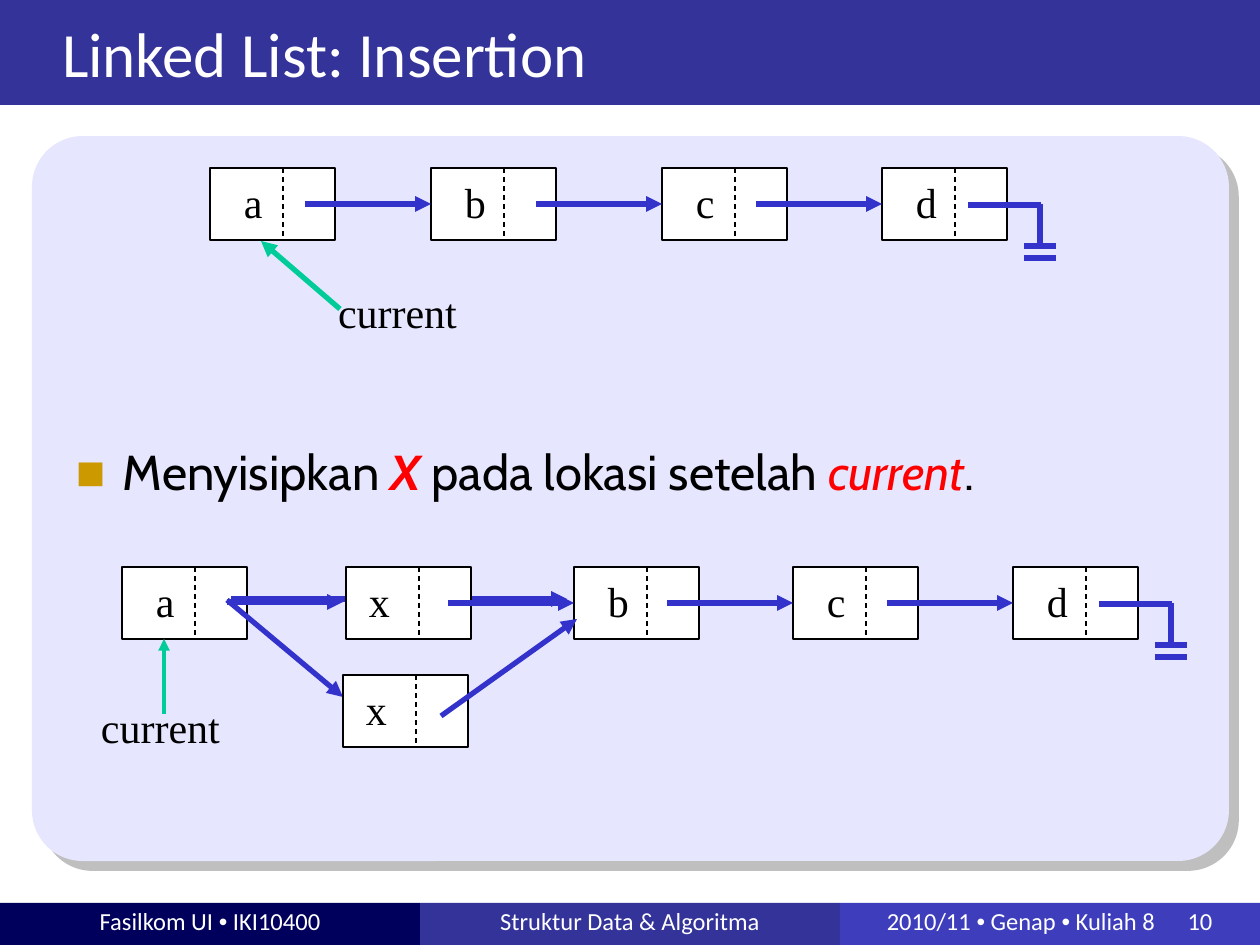
from lxml.etree import SubElement
from pptx import Presentation
from pptx.dml.color import RGBColor
from pptx.enum.dml import MSO_LINE
from pptx.enum.shapes import MSO_CONNECTOR, MSO_SHAPE
from pptx.enum.text import MSO_ANCHOR, PP_ALIGN
from pptx.oxml.ns import qn
from pptx.util import Emu, Pt

PX = 914400 / 126

WHITE = RGBColor(0xFF, 0xFF, 0xFF)
BLACK = RGBColor(0, 0, 0)
RED = RGBColor(0xFF, 0, 0)
NAVY = RGBColor(0x00, 0x00, 0x5C)
INDIGO = RGBColor(0x33, 0x33, 0x99)
VIOLET = RGBColor(0x3E, 0x3E, 0xBC)
LAVENDER = RGBColor(0xE6, 0xE6, 0xFF)
BLUE = RGBColor(0x33, 0x33, 0xCC)
GREEN = RGBColor(0x00, 0xCC, 0x99)

TITLE = "Linked List: Insertion"
FOOTERS = [  # text, fill, alignment, right inset
    ("Fasilkom UI • IKI10400", NAVY, PP_ALIGN.CENTER, 13),
    ("Struktur Data & Algoritma", INDIGO, PP_ALIGN.CENTER, 13),
    ("2010/11 • Genap • Kuliah 8", VIOLET, PP_ALIGN.RIGHT, 105),
]
PAGE_NUMBER = "10"
STATEMENT = [  # text, colour, bold, italic
    ("Menyisipkan ", BLACK, False, False),
    ("X", RED, True, True),
    (" pada lokasi setelah ", BLACK, False, False),
    ("current", RED, False, True),
    (".", BLACK, False, False),
]

NODE_W, NODE_H, DIVIDER, ARROW = 125, 72, 73, 126
BEFORE_Y, AFTER_Y = 168, 567
BEFORE = [("a", 210), ("b", 431), ("c", 662), ("d", 882)]
AFTER = [("a", 122), ("b", 574), ("c", 793), ("d", 1013)]
INSERTED = ("x", 346)
NEW_NODE = ("x", 343, 675)
BYPASS = [(231, 599, 567, 599), (227, 602, 343, 602), (227, 600, 343, 697)]
NEW_NODE_LINK = (441, 716, 577, 619)
CURRENT = [  # label position, pointer, pointer width
    ((325, 284), (340, 309, 261, 241), 3),
    ((88, 699), (164, 714, 164, 639), 2.25),
]
GROUND = [(86, 37, 159, 37), (158, 36, 158, 79), (142, 78, 174, 78), (142, 90, 174, 90)]

deck = Presentation()
deck.slide_width, deck.slide_height = Emu(9144000), Emu(6858000)
page = deck.slides.add_slide(deck.slide_layouts[6])


def px(*lengths):
    return [Emu(round(length * PX)) for length in lengths]


def add_box(left, top, width, height, fill, kind=MSO_SHAPE.RECTANGLE):
    box = page.shapes.add_shape(kind, *px(left, top, width, height))
    box.shadow.inherit = False
    box.fill.solid()
    box.fill.fore_color.rgb = fill
    box.line.fill.background()
    return box


def add_text_box(left, top, width, height):
    return page.shapes.add_textbox(*px(left, top, width, height))


def write(box, spans, size, anchor=MSO_ANCHOR.TOP, align=PP_ALIGN.LEFT,
          insets=(13, 6, 13, 6), spacing=None):
    """Fill a box with one paragraph of (text, font, colour, bold, italic) spans."""
    frame = box.text_frame
    frame.word_wrap = True
    frame.vertical_anchor = anchor
    (frame.margin_left, frame.margin_top,
     frame.margin_right, frame.margin_bottom) = px(*insets)
    para = frame.paragraphs[0]
    para.alignment = align
    para.line_spacing = spacing
    for text, font, colour, bold, italic in spans:
        span = para.add_run()
        span.text = text
        span.font.name, span.font.size = font, Pt(size)
        span.font.color.rgb = colour
        span.font.bold, span.font.italic = bold, italic
    return para


def plain(text, font, colour):
    return (text, font, colour, False, False)


def add_line(x1, y1, x2, y2, colour=BLUE, width=3, arrow=False):
    line = page.shapes.add_connector(MSO_CONNECTOR.STRAIGHT, *px(x1, y1, x2, y2))
    line.line.color.rgb = colour
    line.line.width = Pt(width)
    if arrow:
        SubElement(line.line._get_or_add_ln(), qn("a:tailEnd"), type="triangle")
    SubElement(line._element.spPr, qn("a:effectLst"))
    return line


def add_node(name, left, top):
    node = add_box(left, top, NODE_W, NODE_H, WHITE)
    node.line.color.rgb = BLACK
    node.line.width = Pt(0.75)
    indent = 23 if name == "x" else 34
    write(node, [plain(name, "Times New Roman", BLACK)], 24, MSO_ANCHOR.MIDDLE,
          insets=(indent, 6, 13, 6), spacing=0.95)
    divider = add_line(left + DIVIDER, top, left + DIVIDER, top + NODE_H, BLACK, 0.75)
    divider.line.dash_style = MSO_LINE.DASH
    return node


def link_to(node, left, top):
    middle = top + NODE_H / 2
    add_line(left - ARROW, middle, left, middle, arrow=True).end_connect(node, 1)


def add_ground(left, top):
    """Draw the null mark that ends a list, relative to its last node."""
    for x1, y1, x2, y2 in GROUND:
        add_line(left + x1, top + y1, left + x2, top + y2)


def add_row(nodes, top):
    return [(add_node(name, left, top), left, top) for name, left in nodes]


# Title bar, footer and card
add_box(0, 0, 1260, 105, INDIGO)
write(add_text_box(49, 0, 1191, 96), [plain(TITLE, "Calibri", WHITE)], 36, MSO_ANCHOR.BOTTOM)

for column, (text, fill, align, right) in enumerate(FOOTERS):
    footer = add_box(420 * column, 903, 420, 42, fill)
    before, bullet, after = text.partition(" • ")
    parts = text.replace("•", "|•|").split("|")
    spans = [plain(part, "Arial" if part == "•" else "Calibri", WHITE) for part in parts]
    write(footer, spans, 14, MSO_ANCHOR.MIDDLE, align, (13, 0, right, 6))
write(add_text_box(1170, 903, 60, 42), [plain(PAGE_NUMBER, "Calibri", WHITE)], 14,
      MSO_ANCHOR.MIDDLE, PP_ALIGN.CENTER, (0, 0, 0, 6))

card = add_box(32, 136, 1197, 725, LAVENDER, MSO_SHAPE.ROUNDED_RECTANGLE)
card.adjustments[0] = 0.07
shadow = SubElement(card._element.spPr.find(qn("a:effectLst")), qn("a:outerShdw"),
                    dist=str(Pt(8)), dir="2700000", algn="ctr", rotWithShape="0")
shadow_colour = SubElement(shadow, qn("a:srgbClr"), val="808080")
SubElement(shadow_colour, qn("a:alpha"), val="50000")

# Statement
statement = write(add_text_box(63, 441, 1149, 90),
                  [(text, "Cabin", *style) for text, *style in STATEMENT], 28, spacing=0.93)
properties = statement._p.get_or_add_pPr()
indent = px(47)[0]
properties.set("marL", str(indent))
properties.set("indent", str(-indent))
SubElement(SubElement(properties, qn("a:buClr")), qn("a:srgbClr"), val="CC9900")
SubElement(properties, qn("a:buFont"), typeface="Arial")
SubElement(properties, qn("a:buChar"), char="■")

# List before the insertion
before_row = add_row(BEFORE, BEFORE_Y)
for placed in before_row[1:]:
    link_to(*placed)
add_ground(BEFORE[-1][1], BEFORE_Y)

# List after the insertion
after_row = add_row(AFTER, AFTER_Y)
for ends in BYPASS:
    add_line(*ends, arrow=True)
add_node(*NEW_NODE)
add_line(*NEW_NODE_LINK, arrow=True)
add_row([INSERTED], AFTER_Y)
for placed in after_row[1:]:
    link_to(*placed)
add_ground(AFTER[-1][1], AFTER_Y)

# Pointers to the current node
for (left, top), ends, width in CURRENT:
    add_line(*ends, GREEN, width, arrow=True)
    write(add_text_box(left, top, 160, 60),
          [plain("current", "Times New Roman", BLACK)], 24, spacing=0.95)

deck.save("out.pptx")
